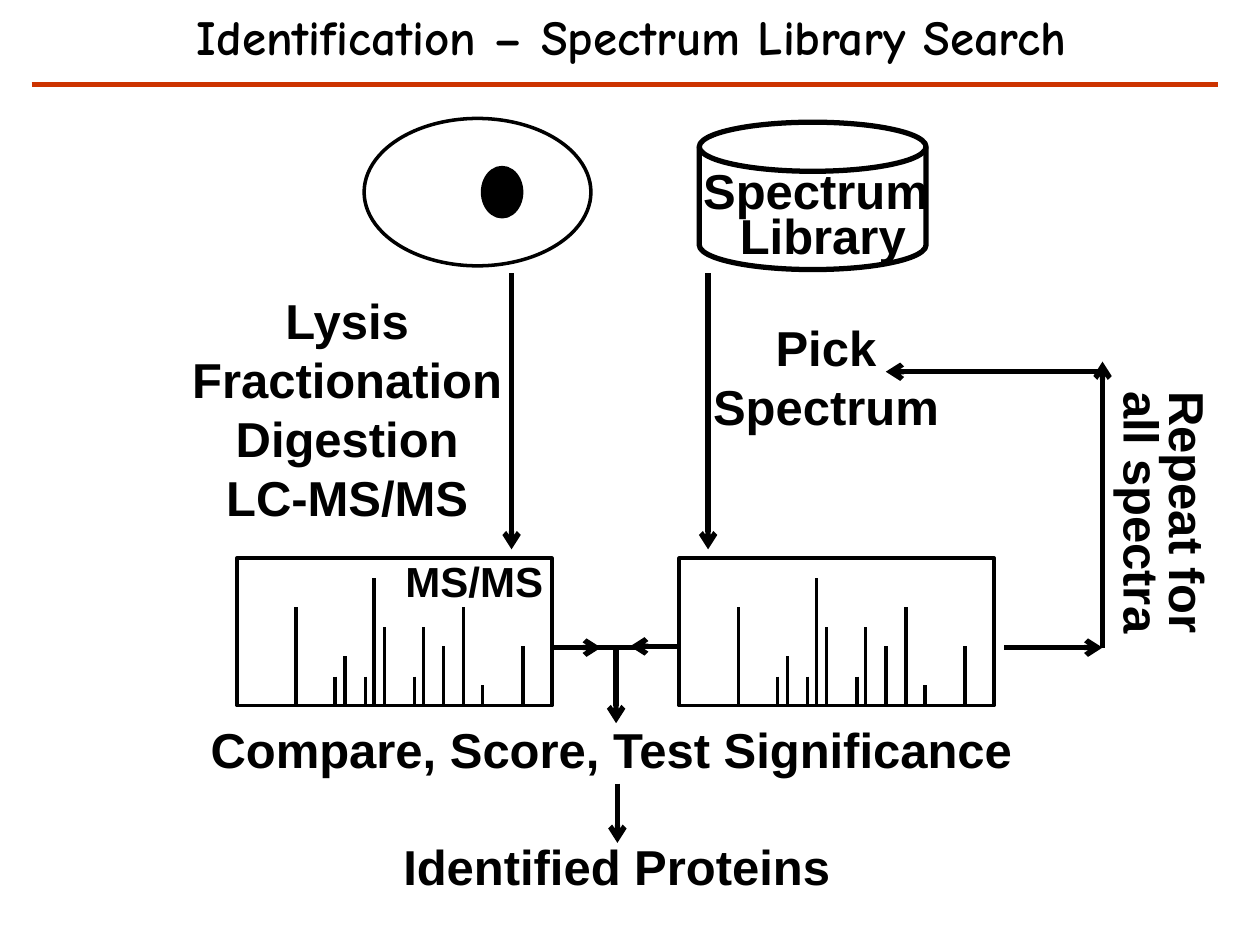
from dataclasses import dataclass

import pptx
import pptx.dml.color
import pptx.enum.shapes
import pptx.enum.text
import pptx.oxml
import pptx.oxml.ns
import pptx.util
from pptx.util import Inches

COLORS = {"ink": "000000", "rule": "CC3300"}
MSO_SHAPE = pptx.enum.shapes.MSO_SHAPE
ALIGN = pptx.enum.text.PP_ALIGN


@dataclass
class Label:
    lines: list[str]
    left: float
    top: float
    width: float
    height: float
    size: int = 28
    font: str = "Arial"
    spacing: int | None = None
    rotation: int = 0
    align: int = ALIGN.CENTER


@dataclass
class Line:
    x1: float
    y1: float
    x2: float
    y2: float
    weight: float = 3
    color: str = "ink"
    arrow: bool = True


@dataclass
class Outline:
    kind: int
    left: float
    top: float
    width: float
    height: float
    weight: float = 2
    filled: bool = False


@dataclass
class Peak:
    offset: float
    height: float


def rgb(name: str) -> pptx.dml.color.RGBColor:
    return pptx.dml.color.RGBColor.from_string(COLORS[name])


def add_label(slide, label: Label) -> None:
    sp = slide.shapes.add_textbox(
        Inches(label.left), Inches(label.top), Inches(label.width), Inches(label.height))
    sp.rotation = label.rotation
    tf = sp.text_frame
    tf.word_wrap = False
    tf.auto_size = pptx.enum.text.MSO_AUTO_SIZE.SHAPE_TO_FIT_TEXT
    for i, text in enumerate(label.lines):
        p = tf.paragraphs[0] if i == 0 else tf.add_paragraph()
        p.text = text
        p.alignment = label.align
        if label.spacing:
            p.line_spacing = pptx.util.Pt(label.spacing)
        p.font.name = label.font
        p.font.size = pptx.util.Pt(label.size)
        p.font.bold = True
        p.font.color.rgb = rgb("ink")


def add_line(slide, line: Line) -> None:
    cxn = slide.shapes.add_connector(
        pptx.enum.shapes.MSO_CONNECTOR.STRAIGHT,
        Inches(line.x1), Inches(line.y1), Inches(line.x2), Inches(line.y2))
    cxn.line.color.rgb = rgb(line.color)
    cxn.line.width = pptx.util.Pt(line.weight)
    if line.arrow:
        ln = cxn.line._get_or_add_ln()
        ln.append(pptx.oxml.parse_xml(
            f'<a:tailEnd {pptx.oxml.ns.nsdecls("a")} type="arrow"/>'))
    cxn._element.spPr.append(pptx.oxml.parse_xml(
        f'<a:effectLst {pptx.oxml.ns.nsdecls("a")}/>'))


def add_outline(slide, outline: Outline) -> None:
    sp = slide.shapes.add_shape(
        outline.kind, Inches(outline.left), Inches(outline.top),
        Inches(outline.width), Inches(outline.height))
    sp.shadow.inherit = False
    if outline.filled:
        sp.fill.solid()
        sp.fill.fore_color.rgb = rgb("ink")
    else:
        sp.fill.background()
    sp.line.color.rgb = rgb("ink")
    sp.line.width = pptx.util.Pt(outline.weight)


def add_spectrum(slide, left: float, top: float, peaks: list[Peak]) -> None:
    width, height = 2.5, 1.17
    add_outline(slide, Outline(MSO_SHAPE.RECTANGLE, left, top, width, height))
    base = top + height
    for peak in peaks:
        x = left + peak.offset
        add_line(slide, Line(x, base - peak.height, x, base, weight=2, arrow=False))


PEAKS = [
    Peak(0.47, 0.78), Peak(0.78, 0.23), Peak(0.86, 0.39), Peak(1.02, 0.23),
    Peak(1.09, 1.01), Peak(1.17, 0.62), Peak(1.41, 0.23), Peak(1.48, 0.62),
    Peak(1.64, 0.47), Peak(1.8, 0.78), Peak(1.95, 0.16), Peak(2.27, 0.47),
]

OUTLINES = [
    # Cell and nucleus
    Outline(MSO_SHAPE.OVAL, 2.89, 0.94, 1.8, 1.17),
    Outline(MSO_SHAPE.OVAL, 3.83, 1.33, 0.31, 0.39, filled=True),
    # Library database
    Outline(MSO_SHAPE.FLOWCHART_MAGNETIC_DISK, 5.55, 0.97, 1.8, 1.17, weight=3),
]

LINES = [
    # Rule under the title
    Line(0.25, 0.67, 9.67, 0.67, weight=2.5, color="rule", arrow=False),
    # Sample and library down to their spectra
    Line(4.06, 2.17, 4.06, 4.36),
    Line(5.62, 2.17, 5.62, 4.36),
    # Both spectra into the comparison
    Line(4.38, 5.14, 4.77, 5.14),
    Line(5.39, 5.13, 5, 5.13),
    Line(5.08, 5.14, 4.69, 5.14, arrow=False),
    Line(4.89, 5.15, 4.89, 5.74),
    Line(4.9, 6.22, 4.9, 6.69),
    # Loop back to the next spectrum
    Line(7.97, 5.14, 8.75, 5.14),
    Line(8.75, 5.14, 8.75, 2.87),
    Line(8.75, 2.95, 7.03, 2.95),
]

LABELS = [
    Label(["Identification – Spectrum Library Search"], 0.94, 0, 8.14, 0.57,
          font="Comic Neue"),
    Label(["Lysis", "Fractionation", "Digestion", "LC-MS/MS"], 1.4, 2.26, 2.71, 2.46),
    Label(["MS/MS"], 3.12, 4.36, 1.3, 0.51, size=24, align=ALIGN.LEFT),
    Label(["Spectrum ", "Library"], 5.47, 1.33, 2.12, 0.83, spacing=26),
    Label(["Pick", "Spectrum"], 5.55, 2.47, 2.01, 1.04),
    Label(["Repeat for", "all spectra"], 8.12, 3.65, 2.15, 0.83, spacing=26, rotation=90),
    Label(["Compare, Score, Test Significance "], 1.53, 5.66, 6.75, 0.57),
    Label(["Identified Proteins"], 3.08, 6.59, 3.63, 0.57),
]


def main() -> None:
    prs = pptx.Presentation()
    prs.slide_width, prs.slide_height = Inches(10), Inches(7.5)
    slide = prs.slides.add_slide(prs.slide_layouts[6])

    # Measured and library spectra
    for left in (1.88, 5.39):
        add_spectrum(slide, left, 4.43, PEAKS)
    for outline in OUTLINES:
        add_outline(slide, outline)
    for line in LINES:
        add_line(slide, line)
    for label in LABELS:
        add_label(slide, label)

    prs.save("out.pptx")


if __name__ == "__main__":
    main()
